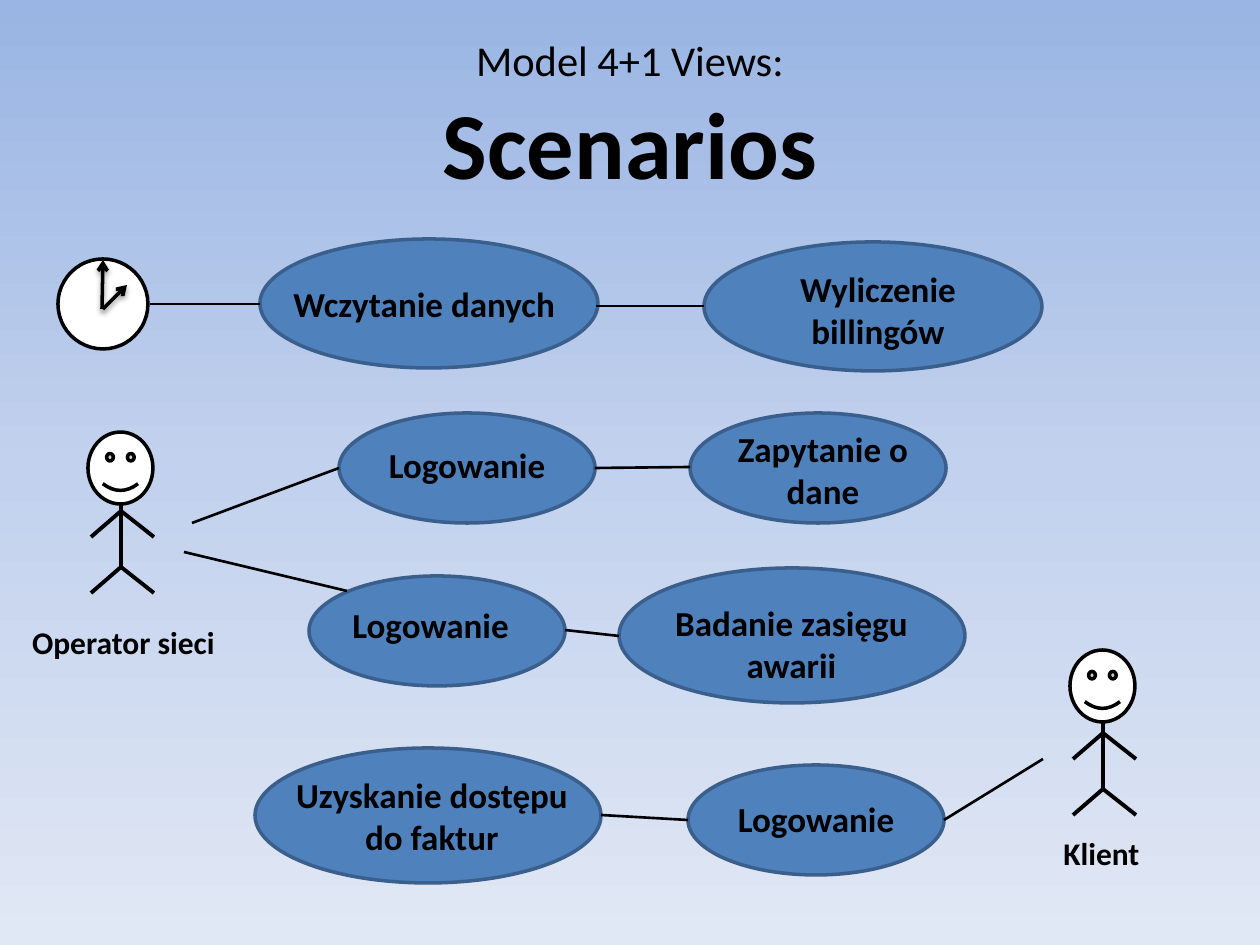
from copy import deepcopy

from lxml import etree
from pptx import Presentation
from pptx.dml.color import RGBColor
from pptx.enum.shapes import MSO_CONNECTOR, MSO_SHAPE
from pptx.enum.text import MSO_ANCHOR, PP_ALIGN
from pptx.oxml import parse_xml
from pptx.oxml.ns import nsdecls, qn
from pptx.util import Pt

SCALE = 914400 / 126
ELLIPSE, SMILEY = MSO_SHAPE.OVAL, MSO_SHAPE.SMILEY_FACE
STRAIGHT = MSO_CONNECTOR.STRAIGHT
LEFT, CENTER = PP_ALIGN.LEFT, PP_ALIGN.CENTER
TOP, MIDDLE = MSO_ANCHOR.TOP, MSO_ANCHOR.MIDDLE
BLACK, WHITE, BLUE, DARK_BLUE = "000000", "FFFFFF", "4F81BD", "3A5F8C"
SHADOW = (
    '<a:outerShdw blurRad="40000" dist="20000" dir="5400000" rotWithShape="0">'
    '<a:srgbClr val="000000"><a:alpha val="38000"/></a:srgbClr></a:outerShdw>'
)


def px(n):
    return round(n * SCALE)


def rgb(value):
    return RGBColor.from_string(value)


def add_run(p, text, size=20, bold=True, color=BLACK, font="Calibri"):
    r = p.add_run()
    r.text = text
    r.font.size, r.font.bold, r.font.name = Pt(size), bold, font
    r.font.color.rgb = rgb(color)


class Diagram:
    """Draws use case diagram elements on one slide, in pixels."""

    def __init__(self, slide):
        self.s = slide

    def background(self, colors):
        fill = self.s.background.fill
        fill.gradient()
        fill.gradient_angle = 270
        stops = self.s._element.find(".//" + qn("a:gsLst"))
        stops.insert(1, deepcopy(stops[0]))
        for i, (stop, color) in enumerate(zip(fill.gradient_stops, colors)):
            stop.position = i / (len(colors) - 1)
            stop.color.rgb = rgb(color)

    def shape(self, kind, box, fill=WHITE, line=BLACK):
        sp = self.s.shapes.add_shape(kind, *map(px, box))
        sp.shadow.inherit = False
        sp.fill.solid()
        sp.fill.fore_color.rgb = rgb(fill)
        sp.line.color.rgb = rgb(line)
        sp.line.width = Pt(2)

    def text(self, box, align=CENTER, anchor=TOP):
        tf = self.s.shapes.add_textbox(*map(px, box)).text_frame
        tf.word_wrap = True
        tf.vertical_anchor = anchor
        p = tf.paragraphs[0]
        p.alignment = align
        return p

    def line(self, ends, width=1.5, arrow=False):
        c = self.s.shapes.add_connector(STRAIGHT, *map(px, ends))
        c.line.color.rgb = rgb(BLACK)
        c.line.width = Pt(width)
        if arrow:
            etree.SubElement(c.line._get_or_add_ln(), qn("a:tailEnd"), type="arrow")
        effects = SHADOW if arrow else ""
        c._element.spPr.append(
            parse_xml(f'<a:effectLst {nsdecls("a")}>{effects}</a:effectLst>'))

    def use_case(self, box, text, label, align=CENTER):
        self.shape(ELLIPSE, box, BLUE, DARK_BLUE)
        add_run(self.text(label, align), text)

    def actor(self, x, head, body, name, label):
        self.line((x, body, x, body + 72), 2.25)
        for joint in (body + 15, body + 71):
            for dx in (-30, 33):
                self.line((x, joint, x + dx, joint + 26), 2.25)
        self.shape(SMILEY, (x - 33, head, 65, 72))
        add_run(self.text(label), name, size=18)

    def clock(self, x, y, size):
        self.shape(ELLIPSE, (x, y, size, size))
        for ends in ((102, 309, 103, 260), (103, 309, 127, 285)):
            self.line(ends, 2, arrow=True)


prs = Presentation()
prs.slide_width, prs.slide_height = px(1260), px(945)
d = Diagram(prs.slides.add_slide(prs.slide_layouts[6]))
d.background(("9AB5E4", "C2D1ED", "E1E8F5"))

title = d.text((63, 38, 1134, 157), anchor=MIDDLE)
add_run(title, "Model 4+1 Views:", size=24.3, bold=False)
title.add_line_break()
add_run(title, "Scenarios", size=54)

BIG, MEDIUM, SMALL = (338, 129), (346, 135), (256, 110)
USE_CASES = [
    ((260, 239), BIG, "Wczytanie danych", (281, 276, 312, 55), LEFT),
    ((704, 242), BIG, "Wyliczenie billingów", (722, 261, 312, 97), CENTER),
    ((339, 413), SMALL, "Logowanie", (368, 437, 198, 55), CENTER),
    ((690, 413), SMALL, "Zapytanie o dane", (724, 421, 198, 97), CENTER),
    ((309, 576), SMALL, "Logowanie", (340, 597, 198, 55), LEFT),
    ((619, 568), MEDIUM, "Badanie zasięgu awarii", (658, 595, 267, 97), CENTER),
    ((255, 748), MEDIUM, "Uzyskanie dostępu do faktur", (276, 767, 312, 97), CENTER),
    ((688, 765), SMALL, "Logowanie", (717, 791, 198, 55), CENTER),
]
for place, size, text, label, align in USE_CASES:
    d.use_case(place + size, text, label, align)

LINKS = [
    (150, 304, 260, 304), (596, 306, 704, 306),
    (192, 523, 339, 468), (595, 468, 690, 467),
    (184, 552, 347, 591), (565, 630, 619, 636),
    (601, 815, 688, 820), (944, 820, 1043, 759),
]
for ends in LINKS:
    d.line(ends)

d.clock(58, 259, 90)
d.actor(121, 432, 496, "Operator sieci", (9, 617, 229, 50))
d.actor(1103, 650, 718, "Klient", (987, 828, 229, 50))

prs.save("out.pptx")
